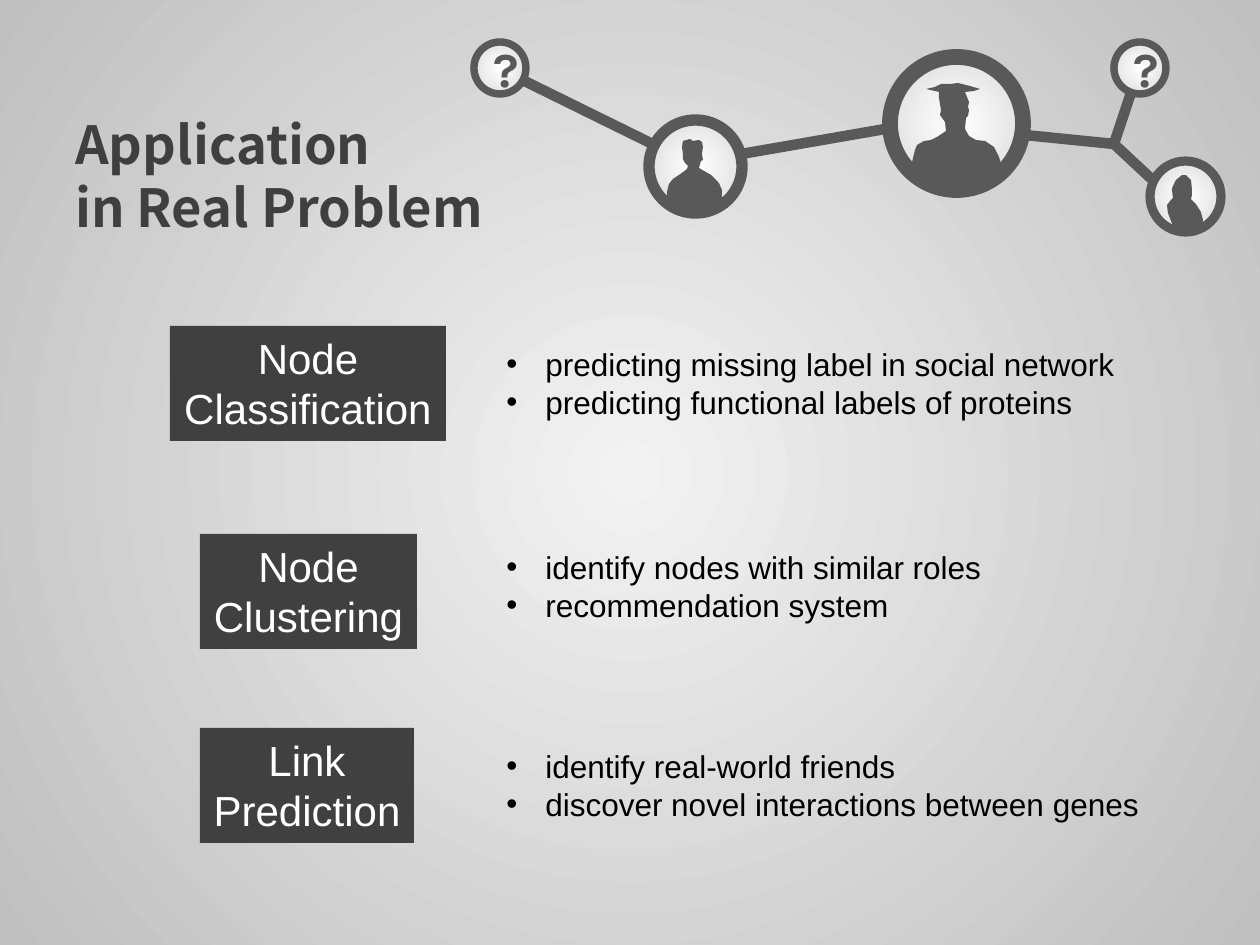
from lxml.etree import SubElement
from pptx import Presentation
from pptx.dml.color import RGBColor
from pptx.enum.shapes import MSO_CONNECTOR, MSO_SHAPE
from pptx.enum.text import MSO_ANCHOR, MSO_AUTO_SIZE, PP_ALIGN
from pptx.oxml.ns import qn
from pptx.util import Emu, Pt

EMU_PER_PX = 914400 / 126
COLORS = {
    "network": "595959", "title": "3F3F3F", "label": "404040",
    "white": "FFFFFF", "black": "000000", "node_edge": "D8D8D8",
    "page_center": "F2F2F2", "page_edge": "BFBFBF",
}


def px(length):
    return Emu(round(length * EMU_PER_PX))


def color(name):
    return RGBColor.from_string(COLORS[name])


class SlideBuilder:
    def __init__(self, page):
        self.page = page
        self.shapes = page.shapes

    def radial_fill(self, fill, element, center, edge):
        fill.gradient()
        for stop, name in zip(fill.gradient_stops, (center, edge)):
            stop.color.rgb = color(name)
        gradient = next(element.iter(qn("a:gradFill")))
        gradient.remove(gradient.find(qn("a:lin")))
        circle = SubElement(gradient, qn("a:path"), {"path": "circle"})
        SubElement(circle, qn("a:fillToRect"),
                   {side: "50000" for side in "ltrb"})

    def background(self, center, edge):
        self.radial_fill(self.page.background.fill, self.page.element, center, edge)

    def set_text(self, shape, lines, size, font, name, bold=False, align=PP_ALIGN.LEFT):
        frame = shape.text_frame
        frame.text = "\n".join(lines)
        for para in frame.paragraphs:
            para.alignment = align
            for span in para.runs:
                span.font.size = Pt(size)
                span.font.name = font
                span.font.bold = bold
                span.font.color.rgb = color(name)
        return frame

    def link(self, start, end):
        line = self.shapes.add_connector(
            MSO_CONNECTOR.STRAIGHT, *map(px, start + end))
        line.line.color.rgb = color("network")
        line.line.width = Pt(6)
        SubElement(line.element.spPr, qn("a:effectLst"))

    def node(self, left, top, size, width, text=None):
        circle = self.shapes.add_shape(
            MSO_SHAPE.OVAL, px(left), px(top), px(size), px(size))
        circle.shadow.inherit = False
        self.radial_fill(circle.fill, circle.element, "white", "node_edge")
        circle.line.color.rgb = color("network")
        circle.line.width = Pt(width)
        if text:
            frame = self.set_text(circle, [text], 28, "Karla", "network", True,
                                  PP_ALIGN.CENTER)
            frame.vertical_anchor = MSO_ANCHOR.MIDDLE

    def silhouette(self, points):
        builder = self.shapes.build_freeform(*points[0], scale=EMU_PER_PX)
        builder.add_line_segments(points[1:], close=True)
        figure = builder.convert_to_shape()
        figure.shadow.inherit = False
        figure.fill.solid()
        figure.fill.fore_color.rgb = color("network")
        figure.line.fill.background()

    def title(self, left, top, width, height, lines):
        box = self.shapes.add_textbox(*map(px, (left, top, width, height)))
        frame = self.set_text(box, lines, 30, "Noto Sans CJK TC", "title", True)
        frame.word_wrap = True
        frame.vertical_anchor = MSO_ANCHOR.MIDDLE

    def label(self, left, top, width, height, lines):
        box = self.shapes.add_shape(
            MSO_SHAPE.RECTANGLE, *map(px, (left, top, width, height)))
        box.shadow.inherit = False
        box.fill.solid()
        box.fill.fore_color.rgb = color("label")
        box.line.fill.background()
        frame = self.set_text(box, lines, 24, "Arial", "white", align=PP_ALIGN.CENTER)
        frame.word_wrap = False
        frame.auto_size = MSO_AUTO_SIZE.SHAPE_TO_FIT_TEXT
        frame.vertical_anchor = MSO_ANCHOR.TOP

    def bullets(self, left, top, width, height, lines):
        box = self.shapes.add_textbox(*map(px, (left, top, width, height)))
        frame = self.set_text(box, lines, 18, "Arial", "black")
        frame.word_wrap = True
        frame.auto_size = MSO_AUTO_SIZE.SHAPE_TO_FIT_TEXT
        for para in frame.paragraphs:
            properties = para._p.get_or_add_pPr()
            properties.set("marL", str(px(39)))
            properties.set("indent", str(-px(39)))
            SubElement(properties, qn("a:buFont"), typeface="Arial")
            SubElement(properties, qn("a:buChar"), char="•")


GRADUATE = [
    (911, 166), (915, 150), (917, 145), (924, 141), (931, 140), (937, 137),
    (946, 131), (945, 122), (940, 115), (941, 110), (939, 98), (939, 92),
    (926, 89), (935, 87), (941, 84), (950, 84), (958, 83), (970, 86),
    (980, 89), (974, 91), (965, 92), (969, 102), (968, 107), (969, 110),
    (968, 116), (966, 118), (965, 129), (969, 136), (976, 140), (985, 141),
    (994, 147), (999, 157), (1003, 170), (990, 181), (974, 188), (955, 190),
    (937, 187), (923, 181), (911, 171),
]
MAN = [
    (667, 198), (667, 192), (669, 184), (673, 179), (682, 173), (687, 169),
    (688, 166), (685, 163), (683, 159), (683, 154), (682, 147), (683, 141),
    (690, 139), (693, 141), (699, 140), (702, 142), (703, 147), (702, 154),
    (703, 160), (701, 161), (699, 168), (704, 171), (711, 175), (719, 183),
    (722, 190), (722, 197), (726, 200), (715, 208), (705, 212), (694, 213),
    (680, 211), (665, 203),
]
WOMAN = [
    (1171, 200), (1173, 198), (1172, 189), (1173, 186), (1176, 180),
    (1182, 175), (1186, 175), (1191, 180), (1192, 189), (1192, 195),
    (1191, 199), (1196, 204), (1201, 212), (1203, 220), (1202, 227),
    (1197, 227), (1197, 231), (1186, 232), (1172, 229), (1173, 226),
    (1170, 218), (1168, 213), (1167, 205),
]
FORK = (1114, 144)
LINKS = [
    (FORK, (1139, 69)), ((965, 129), FORK), ((683, 159), (500, 69)),
    ((937, 120), (701, 161)), ((1173, 199), FORK),
]
# Label left, top, width and lines, then bullet top, width and lines
TASKS = [
    ((170, 326, 276, ["Node", "Classification"]),
     (339, 640, ["predicting missing label in social network",
                 "predicting functional labels of proteins"])),
    ((200, 534, 217, ["Node", "Clustering"]),
     (542, 630, ["identify nodes with similar roles",
                 "recommendation system"])),
    ((200, 728, 214, ["Link", "Prediction"]),
     (741, 703, ["identify real-world friends",
                 "discover novel interactions between genes"])),
]


def main():
    deck = Presentation()
    deck.slide_width, deck.slide_height = px(1260), px(945)
    slide = SlideBuilder(deck.slides.add_slide(deck.slide_layouts[6]))
    slide.background("page_center", "page_edge")

    # Social network
    for start, end in LINKS:
        slide.link(start, end)
    for left, top, size, width, figure in (
            (890, 57, 133, 9, GRADUATE), (649, 120, 93, 6.5, MAN),
            (1150, 161, 71, 5.25, WOMAN)):
        slide.node(left, top, size, width)
        slide.silhouette(figure)
    for left in (474, 1114):
        slide.node(left, 42, 52, 4.25, "?")

    # Title
    slide.title(63, 102, 1134, 146, ["Application", "in Real Problem"])

    # Tasks with their applications
    for (left, top, width, name), (bullet_top, bullet_width, uses) in TASKS:
        slide.label(left, top, width, 115, name)
        slide.bullets(494, bullet_top, bullet_width, 90, uses)

    deck.save("out.pptx")


if __name__ == "__main__":
    main()
